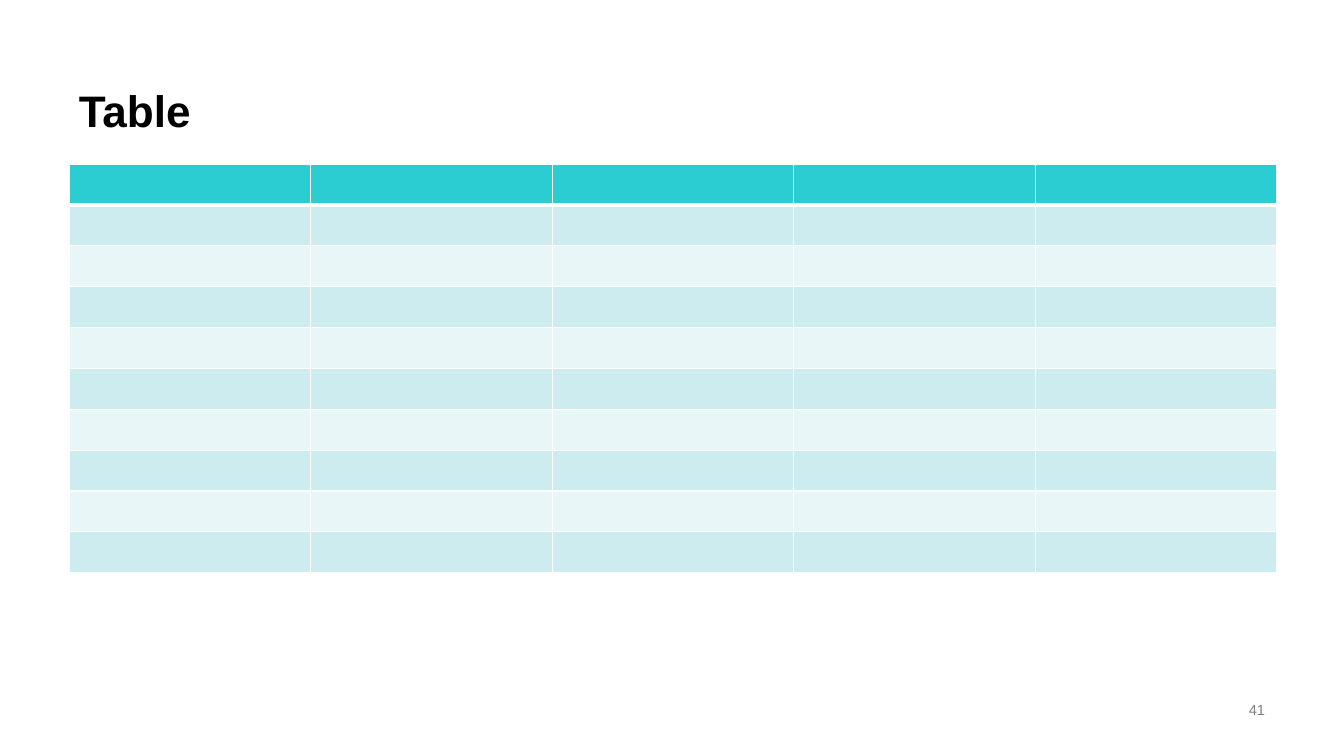
from dataclasses import dataclass

from lxml import etree
from pptx import Presentation
from pptx.dml.color import RGBColor
from pptx.enum.text import MSO_ANCHOR, PP_ALIGN
from pptx.oxml.ns import qn
from pptx.util import Pt

LEFT, RIGHT = PP_ALIGN.LEFT, PP_ALIGN.RIGHT
MIDDLE, BOTTOM = MSO_ANCHOR.MIDDLE, MSO_ANCHOR.BOTTOM

# Content
TITLE = "Table"
PAGE_NUMBER = "41"
ROWS, COLUMNS = 10, 5

# Layout in px: left, top, width, height
SLIDE_SIZE = (1344, 756)
TITLE_BOX = (69, 75, 1208, 66)
TABLE_BOX = (69, 164, 1208, 409)
NUMBER_BOX = (973, 690, 302, 40)
EMU_PER_PX = 914400 / 100.8


@dataclass(frozen=True)
class Theme:
    font: str = "Arial"
    title_size: float = 31.5
    number_size: float = 10.5
    title: str = "000000"
    number: str = "808080"
    header: str = "2CCCD3"
    bands: tuple = ("CDECEF", "E8F6F7")
    border: str = "FFFFFF"
    border_width: int = 1
    header_rule_width: int = 3


THEME = Theme()


def px(length):
    return round(length * EMU_PER_PX)


def add_text(slide, text, box, size, color, bold, align, anchor):
    frame = slide.shapes.add_textbox(*map(px, box)).text_frame
    frame.word_wrap = True
    frame.vertical_anchor = anchor
    frame.text = text
    paragraph = frame.paragraphs[0]
    paragraph.alignment = align
    font = paragraph.runs[0].font
    font.name, font.size, font.bold = THEME.font, Pt(size), bold
    font.color.rgb = RGBColor.from_string(color)


def set_borders(cell, top_width, bottom_width):
    properties = cell._tc.get_or_add_tcPr()
    widths = {
        "a:lnL": THEME.border_width,
        "a:lnR": THEME.border_width,
        "a:lnT": top_width,
        "a:lnB": bottom_width,
    }
    # Border lines come before the cell fill
    for position, (tag, width) in enumerate(widths.items()):
        line = etree.Element(qn(tag), w=str(Pt(width)))
        fill = etree.SubElement(line, qn("a:solidFill"))
        etree.SubElement(fill, qn("a:srgbClr"), val=THEME.border)
        properties.insert(position, line)


def add_banded_table(slide):
    table = slide.shapes.add_table(ROWS, COLUMNS, *map(px, TABLE_BOX)).table
    for row in range(ROWS):
        color = THEME.bands[(row - 1) % 2] if row else THEME.header
        top = THEME.header_rule_width if row == 1 else THEME.border_width
        bottom = THEME.header_rule_width if row == 0 else THEME.border_width
        for column in range(COLUMNS):
            cell = table.cell(row, column)
            cell.fill.solid()
            cell.fill.fore_color.rgb = RGBColor.from_string(color)
            set_borders(cell, top, bottom)


def main():
    presentation = Presentation()
    presentation.slide_width, presentation.slide_height = map(px, SLIDE_SIZE)
    slide = presentation.slides.add_slide(presentation.slide_layouts[6])

    # Page number, title and table
    add_text(slide, PAGE_NUMBER, NUMBER_BOX, THEME.number_size, THEME.number,
             False, RIGHT, MIDDLE)
    add_text(slide, TITLE, TITLE_BOX, THEME.title_size, THEME.title,
             True, LEFT, BOTTOM)
    add_banded_table(slide)

    presentation.save("out.pptx")


if __name__ == "__main__":
    main()
